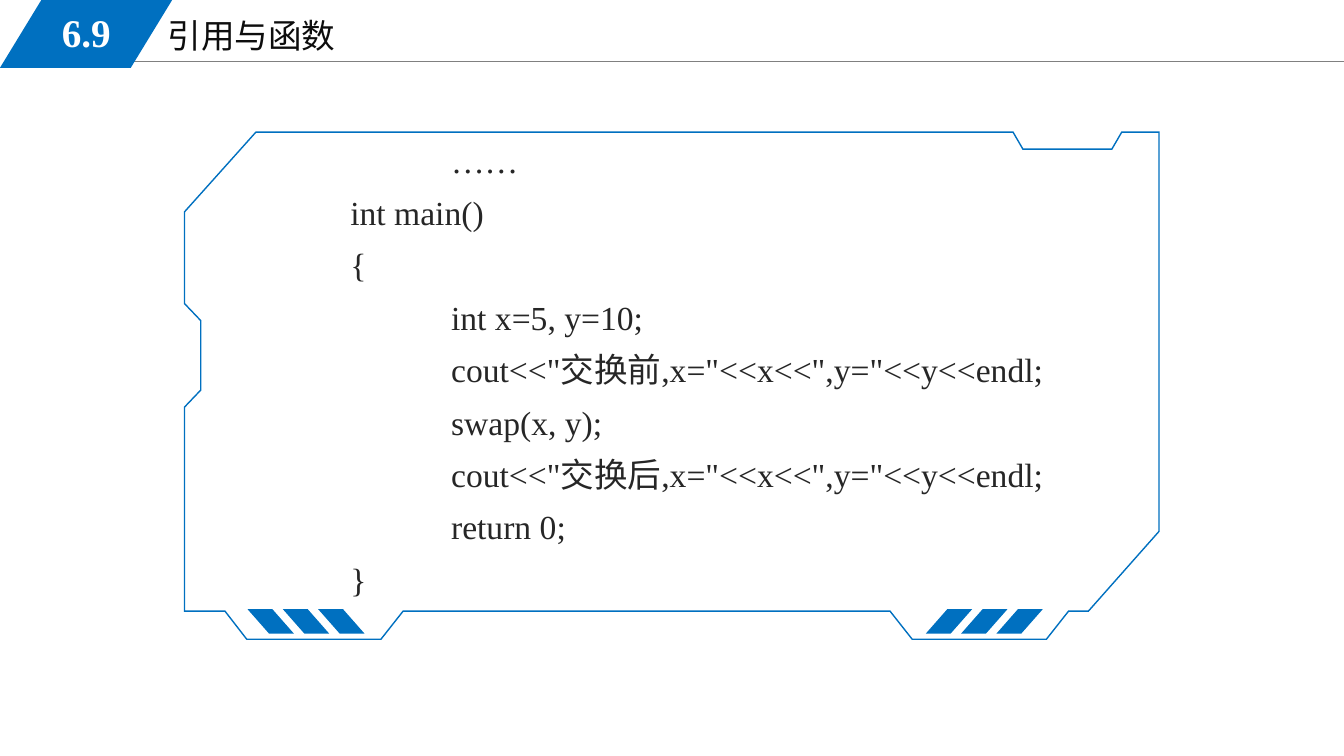
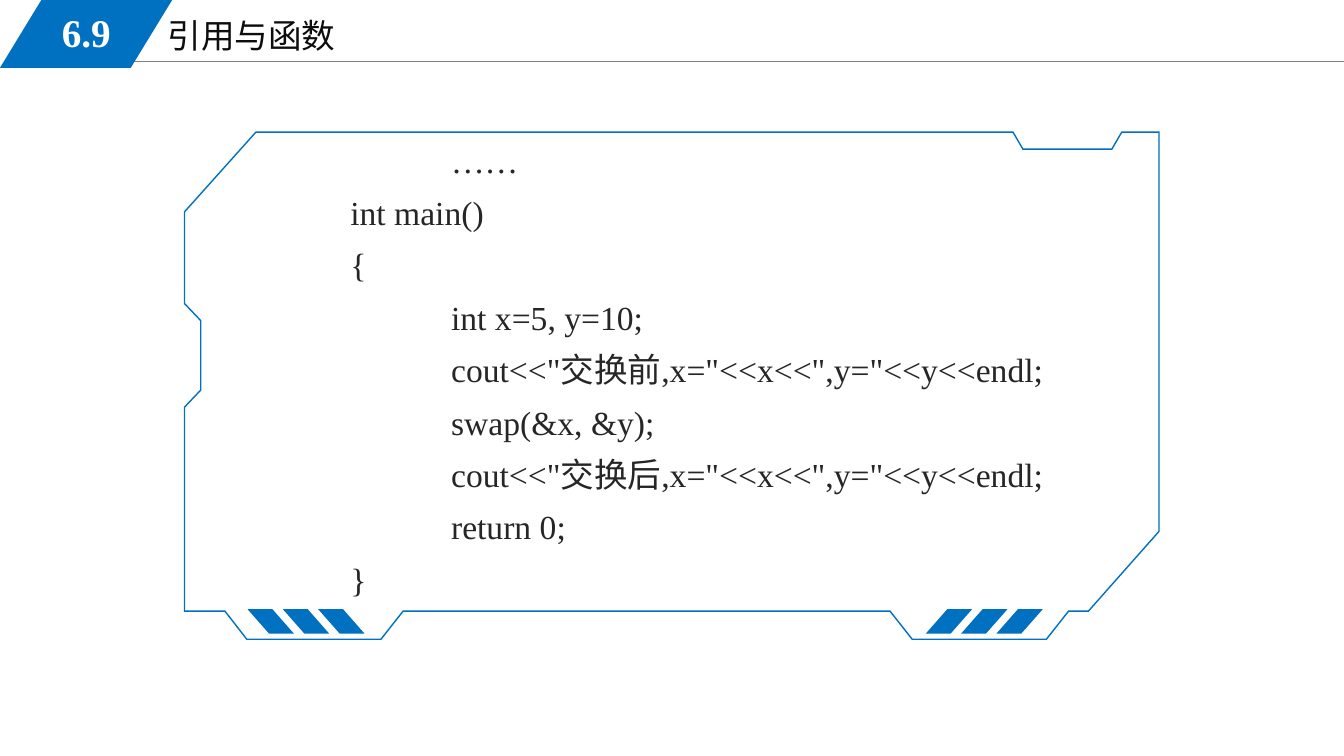
from dataclasses import dataclass

from lxml import etree
from pptx import Presentation
from pptx.dml.color import RGBColor
from pptx.enum.shapes import MSO_CONNECTOR, MSO_SHAPE
from pptx.enum.text import MSO_ANCHOR, MSO_AUTO_SIZE, PP_ALIGN
from pptx.oxml.ns import qn
from pptx.util import Cm, Pt

SLANT = MSO_SHAPE.PARALLELOGRAM
STRAIGHT = MSO_CONNECTOR.STRAIGHT
LEFT, CENTER = PP_ALIGN.LEFT, PP_ALIGN.CENTER
TOP, MIDDLE = MSO_ANCHOR.TOP, MSO_ANCHOR.MIDDLE
FIXED = MSO_AUTO_SIZE.NONE


@dataclass(frozen=True)
class Theme:
    """Colours, font and type sizes of the deck."""

    blue: RGBColor = RGBColor(0x00, 0x70, 0xC0)
    grey: RGBColor = RGBColor(0x80, 0x80, 0x80)
    white: RGBColor = RGBColor(0xFF, 0xFF, 0xFF)
    title: RGBColor = RGBColor(0x0D, 0x0D, 0x0D)
    ink: RGBColor = RGBColor(0x26, 0x26, 0x26)
    face: str = "Times New Roman"
    body: Pt = Pt(24)
    badge: Pt = Pt(28)
    thin: Pt = Pt(0.75)
    edge: Pt = Pt(1)
    tab: Cm = Cm(2.54)


LOOK = Theme()
WIDTH, HEIGHT = 33.87, 19.05
HEAD = (0, 0, WIDTH, 1.7)
PANEL = (4.65, 3.33, 24.56, 12.78)
OUTLINE = [
    (18.34, 12.78), (21.72, 12.78), (22.28, 12.07), (22.78, 12.07),
    (24.56, 10.06), (24.56, 0), (23.62, 0), (23.37, 0.43),
    (21.13, 0.43), (20.88, 0), (1.8, 0), (0, 2.01),
    (0, 4.32), (0.41, 4.75), (0.41, 6.5), (0, 6.93),
    (0, 12.07), (1.02, 12.07), (1.57, 12.78), (4.95, 12.78),
    (5.51, 12.07), (17.78, 12.07),
]
STRIPES = [(18.72, False), (1.63, True)]
CALLS = ["swap(x, y);", "swap(&x, &y);"]


def assign(item, values):
    """Set each named value on an item."""
    for name, value in values.items():
        setattr(item, name, value)


def place(box, x, y, w, h):
    """Return lengths for a part set inside a box."""
    return Cm(box[0] + x), Cm(box[1] + y), Cm(w), Cm(h)


def write(shape, lines, font, color, para, frame):
    """Fill a shape with lines of one style."""
    text = shape.text_frame
    assign(text, {"word_wrap": True, "auto_size": FIXED, **frame})
    text.text = "\n".join(lines)
    for part in text.paragraphs:
        assign(part, para)
        for run in part.runs:
            assign(run.font, {"name": LOOK.face, **font})
            run.font.color.rgb = color


def paint(shape, fill=None, line=None):
    """Give a shape flat fill and a sharp-cornered line."""
    shape.shadow.inherit = False
    if fill is None:
        shape.fill.background()
    else:
        shape.fill.solid()
        shape.fill.fore_color.rgb = fill
    if line is None:
        shape.line.fill.background()
    else:
        shape.line.color.rgb = line
        shape.line.width = LOOK.edge
        edge = shape._element.spPr.find(qn("a:ln"))
        etree.SubElement(edge, qn("a:miter")).set("lim", "800000")


def add_head(slide, box, number, title):
    """Draw the rule, title and numbered flag."""
    left, top, width, _ = box
    rule = slide.shapes.add_connector(
        STRAIGHT, Cm(left + 2.87), Cm(top + 1.56), Cm(left + width), Cm(top + 1.56))
    rule.line.color.rgb = LOOK.grey
    rule.line.width = LOOK.thin
    etree.SubElement(rule._element.spPr, qn("a:effectLst"))

    name = slide.shapes.title
    spot = place(box, 3.97, 0.25, 14.4, 4.37)
    assign(name, dict(zip(("left", "top", "width", "height"), spot)))
    write(name, [title], {"size": LOOK.body}, LOOK.title,
          {"alignment": LEFT}, {"vertical_anchor": TOP})

    flag = slide.shapes.add_shape(SLANT, *place(box, 0, 0, 4.34, 1.71))
    flag.adjustments[0] = 0.61
    paint(flag, LOOK.blue)

    badge = slide.shapes.add_textbox(*place(box, 0.64, 0.07, 3.07, 1.47))
    write(badge, [number], {"size": LOOK.badge, "bold": True}, LOOK.white,
          {"alignment": CENTER}, {"vertical_anchor": MIDDLE})


def add_code(slide, box, lines):
    """Place the code text in the panel."""
    area = slide.shapes.add_textbox(*place(box, 3.93, -0.24, 22.1, 13.26))
    write(area, lines, {"size": LOOK.body}, LOOK.ink, {"line_spacing": 1.3}, {})
    for part in area.text_frame.paragraphs:
        part._p.get_or_add_pPr().set("defTabSz", str(LOOK.tab))


def add_frame(slide, box):
    """Draw the notched outline and its stripes."""
    group = slide.shapes.add_group_shape().shapes
    points = [(Cm(box[0] + x), Cm(box[1] + y)) for x, y in OUTLINE]
    pen = group.build_freeform(*points[0])
    pen.add_line_segments(points[1:], close=True)
    paint(pen.convert_to_shape(), line=LOOK.blue)
    for start, flip in STRIPES:
        for step in range(3):
            bar = group.add_shape(
                SLANT, *place(box, start + 0.89 * step, 12.04, 1.09, 0.58))
            bar.adjustments[0] = 0.88
            paint(bar, LOOK.blue, LOOK.blue)
            if flip:
                bar._element.spPr.xfrm.set("flipH", "1")


def list_code(call):
    """Return the program around one call."""
    prints = [f'\tcout<<"交换{when},x="<<x<<",y="<<y<<endl;' for when in "前后"]
    return ["\t……", "int main()", "{", "\tint x=5, y=10;", prints[0],
            f"\t{call}", prints[1], "\treturn 0;", "}"]


def add_slide(deck, call):
    """Build one code slide."""
    slide = deck.slides.add_slide(deck.slide_layouts.get_by_name("Title Only"))
    add_head(slide, HEAD, "6.9", "引用与函数")
    add_code(slide, PANEL, list_code(call))
    add_frame(slide, PANEL)


def main():
    """Build and save the deck."""
    deck = Presentation()
    assign(deck, {"slide_width": Cm(WIDTH), "slide_height": Cm(HEIGHT)})
    for call in CALLS:
        add_slide(deck, call)
    deck.save("out.pptx")


if __name__ == "__main__":
    main()
